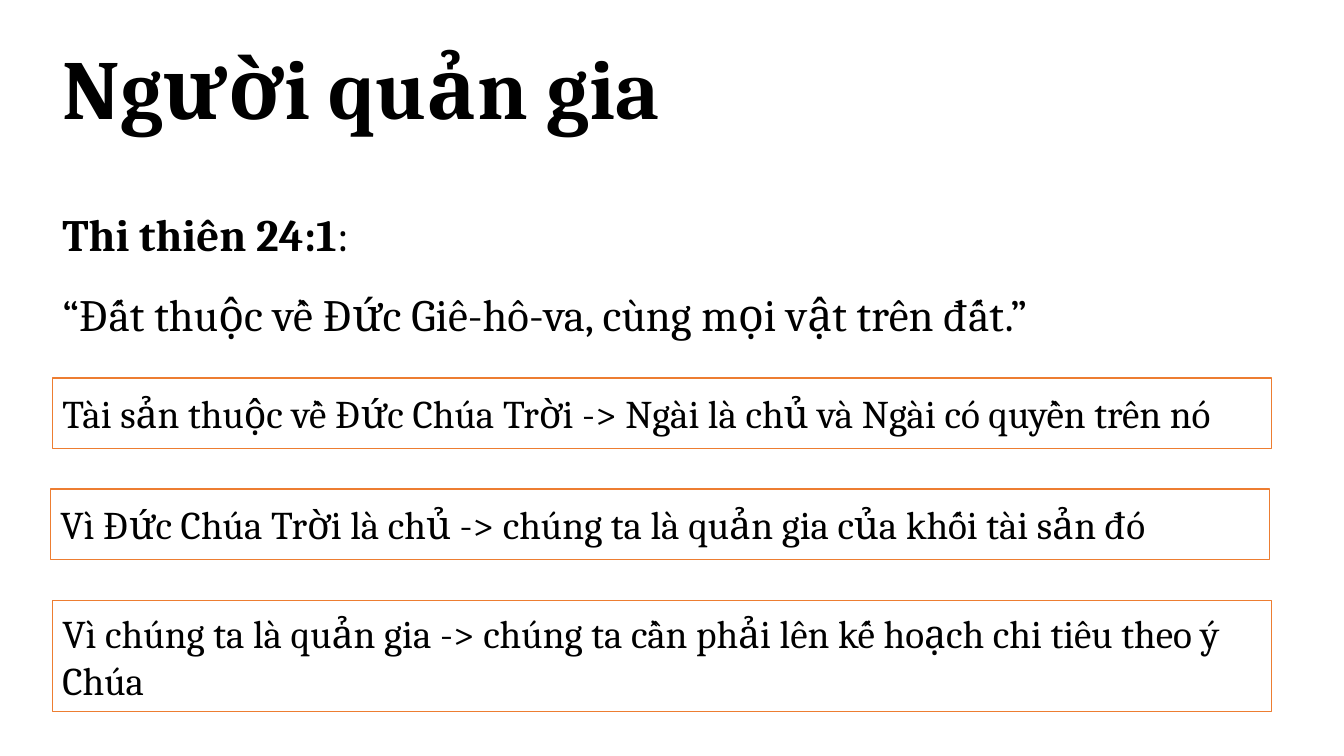
from pptx import Presentation
from pptx import util as u
from pptx.dml.color import RGBColor
from pptx.enum import shapes, text

BLACK = RGBColor(0x00, 0x00, 0x00)
WHITE = RGBColor(0xFF, 0xFF, 0xFF)
ORANGE = RGBColor(0xED, 0x7D, 0x31)
FONT = "Cambria"
LEFT = u.Inches(0.52)


def write(para, wording, size, bold=False, align=text.PP_ALIGN.LEFT, spacing=1.0):
    """Add one formatted span to a paragraph."""
    para.alignment = align
    para.line_spacing = spacing
    span = para.add_run()
    span.text = wording
    span.font.name = FONT
    span.font.size = u.Pt(size)
    span.font.bold = bold
    span.font.color.rgb = BLACK


deck = Presentation()
deck.slide_width = u.Inches(13.33)
deck.slide_height = u.Inches(7.5)
page = deck.slides.add_slide(deck.slide_layouts[5])

# Title
title = page.shapes.title
title.left, title.top = LEFT, u.Inches(0.3)
title.width, title.height = u.Inches(7.3), u.Inches(1.11)
title.text_frame.vertical_anchor = text.MSO_ANCHOR.TOP
title.text_frame.auto_size = text.MSO_AUTO_SIZE.NONE
write(title.text_frame.paragraphs[0], "Người quản gia", 60, bold=True)

# Verse
verse = page.shapes.add_textbox(LEFT, u.Inches(1.73), u.Inches(12.28), u.Inches(1.62))
verse.text_frame.word_wrap = True
verse_format = {"size": 32, "align": text.PP_ALIGN.JUSTIFY, "spacing": 1.5}
reference = verse.text_frame.paragraphs[0]
write(reference, "Thi thiên 24:1", bold=True, **verse_format)
write(reference, ":", **verse_format)
quote = verse.text_frame.add_paragraph()
write(quote, "“Đất thuộc về Đức Giê-hô-va, cùng mọi vật trên đất.”", **verse_format)

# Conclusions: left, top, height, wording
conclusions = [
    (0.52, 3.75, 0.7, "Tài sản thuộc về Đức Chúa Trời -> Ngài là chủ và Ngài có quyền trên nó"),
    (0.5, 4.85, 0.7, "Vì Đức Chúa Trời là chủ -> chúng ta là quản gia của khối tài sản đó"),
    (0.52, 5.96, 1.1, "Vì chúng ta là quản gia -> chúng ta cần phải lên kế hoạch chi tiêu theo ý Chúa"),
]
for left, top, height, wording in conclusions:
    box = page.shapes.add_shape(shapes.MSO_SHAPE.RECTANGLE, u.Inches(left), u.Inches(top),
                                u.Inches(12.09), u.Inches(height))
    box.shadow.inherit = False
    box.fill.solid()
    box.fill.fore_color.rgb = WHITE
    box.line.color.rgb = ORANGE
    box.line.width = u.Pt(1)
    box.text_frame.word_wrap = True
    box.text_frame.vertical_anchor = text.MSO_ANCHOR.MIDDLE
    write(box.text_frame.paragraphs[0], wording, 28)

deck.save("out.pptx")
